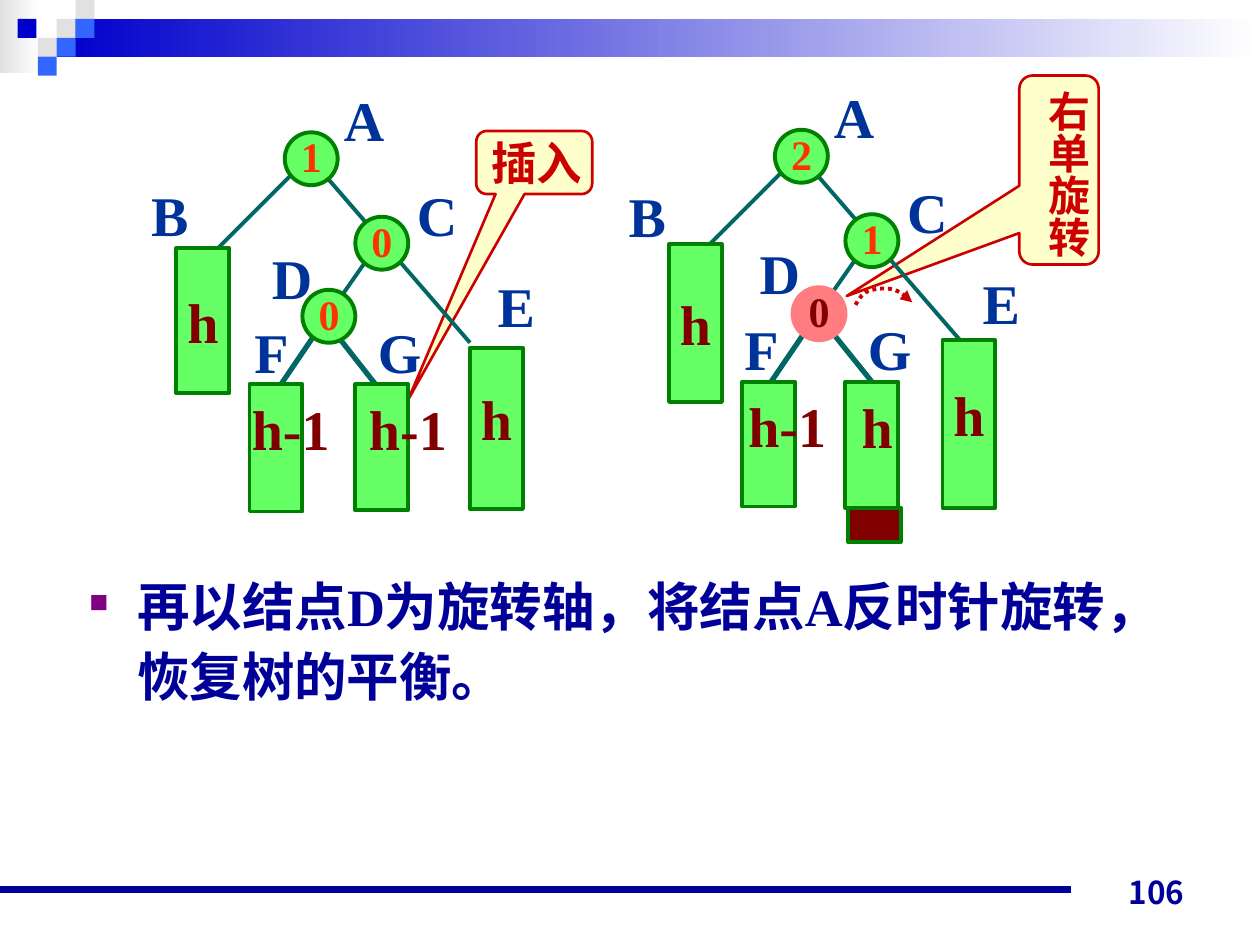
from pptx import Presentation
from pptx import util as u
from pptx.dml import color
from pptx.enum import dml, shapes, text
from pptx.oxml import ns
from lxml import etree

THEME = {
    "latin": "Times New Roman", "east": "Noto Sans CJK JP",
    "navy": "000099", "blue": "0000CC", "sky": "3366FF", "grey": "E1E1E1",
    "white": "FFFFFF", "label": "003399", "maroon": "800000", "digit": "FF3300",
    "green": "66FF66", "border": "008000", "edge": "006666", "pink": "FF7C80",
    "cream": "FFFFCC", "red": "CC0000", "bullet": "800080",
    "label_size": 32, "digit_size": 24, "insert_size": 26, "rotate_size": 24,
    "body_size": 30, "number_size": 18,
}

BANDS = [((0, 0, 0.31, 0.58), "grey"), ((0.45, 0.15, 9.55, 0.3), "blue")]
TILES = [(3, 1, "grey"), (4, 0, "grey"), (4, 1, "sky"), (2, 2, "grey"),
         (0.93, 1, "blue"), (3, 2, "sky"), (2, 3, "sky")]
TILE = 0.15

NODE = 0.42
LABEL_WIDTHS = {"A": 0.52, "B": 0.49, "C": 0.52, "D": 0.52, "E": 0.49, "F": 0.47, "G": 0.54}
COMMON = {
    "edges": {
        "DF": ((2.57, 2.55), (2.23, 3.05), 3),
        "DG": ((2.65, 2.63), (2.98, 3.05), 3),
        "AB": ((2.32, 1.38), (1.57, 2.13), 2.25),
        "AE": ((2.57, 1.38), (3.73, 2.72), 2.25),
        "CD": ((2.92, 2.05), (2.57, 2.55), 2.25),
    },
    "blocks": {"B": (1.4, 1.97, 1.15), "E": (3.73, 2.76, 1.28),
               "F": (1.98, 3.05, 1.01), "G": (2.82, 3.05, 1)},
    "circles": {"A": (2.26, 1.05), "C": (2.82, 1.72), "D": (2.4, 2.3)},
    "labels": {"A": (2.63, 0.63), "B": (1.1, 1.38), "C": (3.21, 1.38), "D": (2.06, 1.88),
               "E": (3.85, 2.11), "F": (1.92, 2.47), "G": (2.9, 2.47)},
    "heights": [("h-1", 2.83, 3.08, 0.82), ("h-1", 1.9, 3.08, 0.82)],
    "digit_colors": {},
    "circle_colors": {},
}
TREES = [
    {"shift": (0, 0), "digits": {"A": "1", "C": "0", "D": "0"},
     "callout": ((3.78, 1.04, 0.92, 0.5), (3.24, 3.17)),
     "note": ("插入", (3.8, 1.02, 0.92, 0.54), "insert_size", False)},
    {"shift": (3.89, -0.02), "digits": {"A": "2", "C": "1", "D": "0"},
     "callout": ((8.09, 0.6, 0.63, 1.5), (6.72, 2.35)),
     "note": ("右单旋转", (8.13, 0.62, 0.6, 1.44), "rotate_size", True),
     "edges": {"DG": ((2.7, 2.64), (3.03, 3.05), 3)},
     "blocks": {"B": (1.42, 1.96, 1.25), "E": (3.59, 2.72, 1.33), "F": (2, 3.05, 0.99)},
     "labels": {"B": (1, 1.41), "E": (3.81, 2.1), "D": (2.04, 1.86)},
     "heights": [("h", 2.85, 3.09, 0.45), ("h-1", 1.95, 3.08, 0.82)],
     "digit_colors": {"D": "maroon"}, "circle_colors": {"D": ("pink", "pink")}},
]
INSERTED = (6.73, 4.03, NODE, 0.27)
TURN_START = (6.79, 2.42)
TURN_CURVES = [
    ((6.81, 2.38), (6.84, 2.34), (6.87, 2.32)),
    ((6.91, 2.3), (6.96, 2.29), (7, 2.29)),
    ((7.04, 2.29), (7.08, 2.29), (7.12, 2.31)),
    ((7.16, 2.32), (7.22, 2.39), (7.24, 2.4)),
]
BODY = ["再以结点D为旋转轴，将结点A反时针旋转，", " ", "恢复树的平衡。"]
PAGE_NUMBER = "106"

deck = Presentation()
deck.slide_width, deck.slide_height = u.Inches(10), u.Inches(7.5)
page = deck.slides.add_slide(deck.slide_layouts[6])


def rgb(name):
    return color.RGBColor.from_string(THEME[name])


def inches(values):
    return [u.Inches(value) for value in values]


def paint(shape, fill, line=None, width=2.25):
    shape.shadow.inherit = False
    shape.fill.solid()
    shape.fill.fore_color.rgb = rgb(fill)
    if line:
        shape.line.color.rgb = rgb(line)
        shape.line.width = u.Pt(width)
    else:
        shape.line.fill.background()


def add_shape(kind, at, fill, line=None, width=2.25):
    shape = page.shapes.add_shape(kind, *inches(at))
    paint(shape, fill, line, width)
    return shape


def write(box, content, size, ink, face="latin", frame=None, layout=None):
    formats = {"word_wrap": False, **(frame or {})}
    for key, value in formats.items():
        setattr(box.text_frame, key, value)
    para = box.text_frame.paragraphs[0]
    for key, value in {"alignment": text.PP_ALIGN.LEFT, **(layout or {})}.items():
        setattr(para, key, value)
    for part in [content] if isinstance(content, str) else content:
        span = para.add_run()
        span.text = part
        for key, value in {"size": u.Pt(THEME[size]), "bold": True, "name": THEME[face]}.items():
            setattr(span.font, key, value)
        span.font.color.rgb = rgb(ink)
        east = etree.SubElement(span.font._element, ns.qn("a:ea"))
        east.set("typeface", THEME["east"])
    return para


def add_text(content, at, size, ink, **options):
    box = page.shapes.add_textbox(*inches(at))
    return box, write(box, content, size, ink, **options)


def add_line(start, end, ink, width):
    line = page.shapes.add_connector(shapes.MSO_CONNECTOR.STRAIGHT, *inches((*start, *end)))
    line.line.color.rgb = rgb(ink)
    line.line.width = u.Pt(width)
    etree.SubElement(line._element.spPr, ns.qn("a:effectLst"))


def add_callout(at, tip):
    left, top, width, height = at
    callout = add_shape(shapes.MSO_SHAPE.ROUNDED_RECTANGULAR_CALLOUT, at, "cream", "red", 1.5)
    callout.adjustments[0] = (tip[0] - left) / width - 0.5
    callout.adjustments[1] = (tip[1] - top) / height - 0.5


def draw_tree(tree):
    dx, dy = tree["shift"]

    def moved(point):
        return point[0] + dx, point[1] + dy

    def parts(name):
        return {**COMMON[name], **tree.get(name, {})}

    add_callout(*tree["callout"])
    note, at, size, vertical = tree["note"]
    box, _ = add_text(note, at, size, "red")
    if vertical:
        frame = box.text_frame
        frame._txBody.bodyPr.set("vert", "eaVert")
        for side in ("left", "right"):
            setattr(frame, f"margin_{side}", u.Inches(0.05))
        for side in ("top", "bottom"):
            setattr(frame, f"margin_{side}", u.Inches(0.1))
    for start, end, width in parts("edges").values():
        add_line(moved(start), moved(end), "edge", width)
    for name, (left, top, height) in parts("blocks").items():
        block = add_shape(shapes.MSO_SHAPE.RECTANGLE, (*moved((left, top)), NODE, height),
                          "green", "border")
        if name in "BE":
            write(block, "h", "label_size", "maroon",
                  frame={"vertical_anchor": text.MSO_ANCHOR.MIDDLE},
                  layout={"alignment": text.PP_ALIGN.CENTER,
                          "line_spacing": 0.6 if name == "E" else 1.0})
    for content, left, top, width in tree.get("heights", COMMON["heights"]):
        add_text(content, (*moved((left, top)), width, 0.64), "label_size", "maroon")
    for name, point in parts("circles").items():
        left, top = moved(point)
        colors = parts("circle_colors").get(name, ("green", "border"))
        add_shape(shapes.MSO_SHAPE.OVAL, (left, top, NODE, NODE), *colors)
        add_text(tree["digits"][name], (left + 0.03, top - 0.06, 0.36, 0.5), "digit_size",
                 parts("digit_colors").get(name, "digit"))
    for name, point in parts("labels").items():
        add_text(name, (*moved(point), LABEL_WIDTHS[name], 0.64), "label_size", "label")


def curve_points(start, curves, steps=6):
    for first, second, end in curves:
        for step in range(1, steps + 1):
            t = step / steps
            yield tuple((1 - t) ** 3 * a + 3 * (1 - t) ** 2 * t * b + 3 * (1 - t) * t ** 2 * c + t ** 3 * d
                        for a, b, c, d in zip(start, first, second, end))
        start = end


for at, start_color in BANDS:
    band = add_shape(shapes.MSO_SHAPE.RECTANGLE, at, start_color)
    band.fill.gradient()
    band.fill.gradient_angle = 0
    for stop, name, position in zip(band.fill.gradient_stops, (start_color, "white"), (0, 1)):
        stop.color.rgb = rgb(name)
        stop.position = position
for column, row, name in TILES:
    add_shape(shapes.MSO_SHAPE.RECTANGLE, (column * TILE, row * TILE, TILE, TILE), name)

add_line((0, 7.06), (8.5, 7.06), "navy", 4.5)
add_text(PAGE_NUMBER, (7.17, 6.78, 2.33, 0.5), "number_size", "navy", face="east",
         frame={"word_wrap": True, "vertical_anchor": text.MSO_ANCHOR.BOTTOM},
         layout={"alignment": text.PP_ALIGN.RIGHT})

for tree in TREES:
    draw_tree(tree)
add_shape(shapes.MSO_SHAPE.RECTANGLE, INSERTED, "maroon", "border")

builder = page.shapes.build_freeform(*inches(TURN_START), scale=1.0)
builder.add_line_segments([inches(point) for point in curve_points(TURN_START, TURN_CURVES)], close=False)
turn = builder.convert_to_shape()
paint(turn, "white", "red")
turn.fill.background()
turn.line.dash_style = dml.MSO_LINE.ROUND_DOT
etree.SubElement(turn.line._get_or_add_ln(), ns.qn("a:tailEnd")).set("type", "triangle")

_, para = add_text(BODY, (0.61, 4.46, 9, 2.67), "body_size", "navy",
                   frame={"word_wrap": True}, layout={"line_spacing": 1.1})
para.runs[1].font._element.set("spc", "1500")
properties = para._p.get_or_add_pPr()
properties.set("marL", str(u.Inches(0.38)))
properties.set("indent", str(-u.Inches(0.38)))
bullet_color = etree.SubElement(properties, ns.qn("a:buClr"))
etree.SubElement(bullet_color, ns.qn("a:srgbClr")).set("val", THEME["bullet"])
etree.SubElement(properties, ns.qn("a:buSzPct")).set("val", "50000")
etree.SubElement(properties, ns.qn("a:buChar")).set("char", "■")

deck.save("out.pptx")
